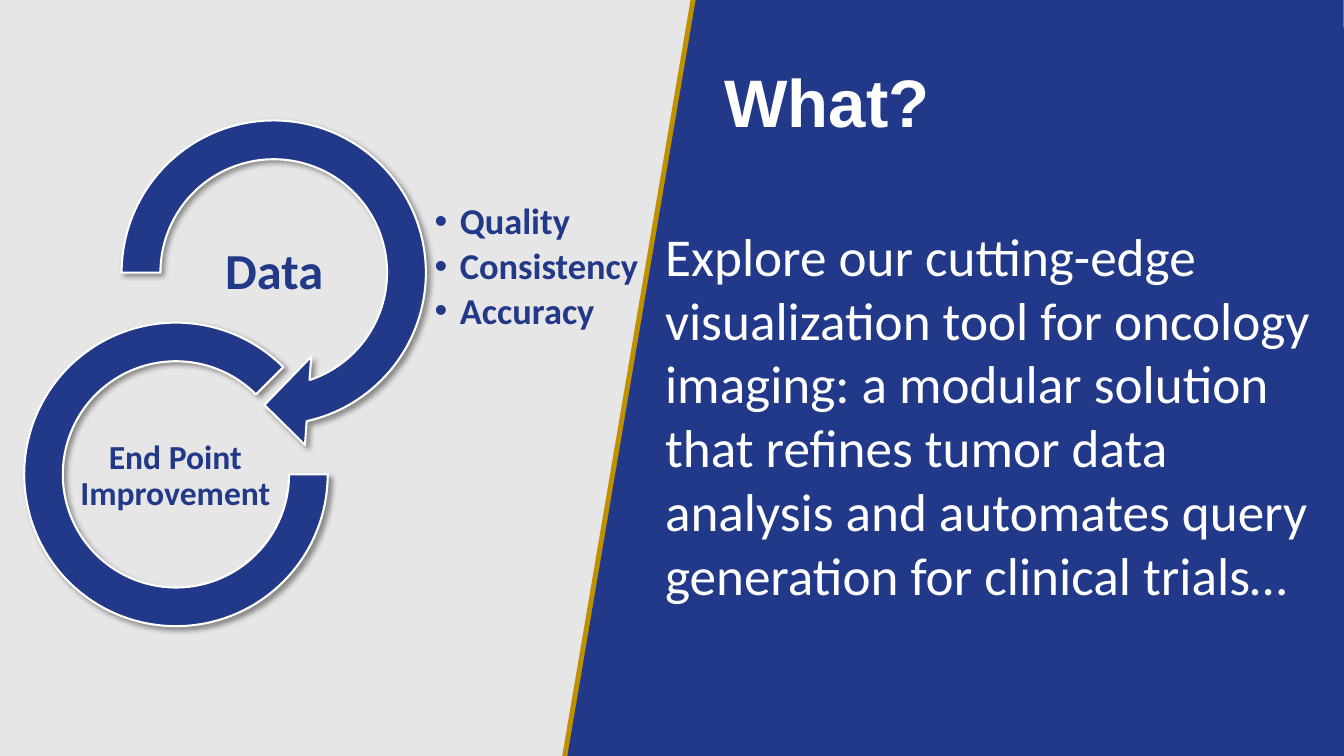
from lxml import etree
from pptx import Presentation
from pptx import util as u
from pptx.dml.color import RGBColor
from pptx.enum import shapes, text
from pptx.oxml import ns

BLUE, GOLD, WHITE, GREY = "223888", "BF9000", "FFFFFF", "E7E6E6"
LEFT, CENTER = text.PP_ALIGN.LEFT, text.PP_ALIGN.CENTER
TOP, MIDDLE = text.MSO_ANCHOR.TOP, text.MSO_ANCHOR.MIDDLE
FIXED, GROW = text.MSO_AUTO_SIZE.NONE, text.MSO_AUTO_SIZE.SHAPE_TO_FIT_TEXT


def rgb(value):
    return RGBColor.from_string(value)


def apply(target, formats):
    for name, value in formats.items():
        setattr(target, name, value)


def paint(target, color):
    target.fill.solid()
    target.fill.fore_color.rgb = rgb(color)


def add_shadow(effects):
    shadow = etree.SubElement(effects, ns.qn("a:outerShdw"), blurRad="50800",
                              dist="38100", dir="2700000", algn="tl", rotWithShape="0")
    color = etree.SubElement(shadow, ns.qn("a:srgbClr"), val="000000")
    etree.SubElement(color, ns.qn("a:alpha"), val="40000")


def set_bullet(p, bullet):
    pPr = p._p.get_or_add_pPr()
    indent = u.Cm(0.64) if bullet else 0
    pPr.set("marL", str(indent))
    pPr.set("indent", str(-indent))
    if bullet:
        etree.SubElement(pPr, ns.qn("a:buChar"), char=bullet)
    else:
        etree.SubElement(pPr, ns.qn("a:buNone"))


def write(sp, box, lines, font, color, align=LEFT, anchor=TOP, size=FIXED,
          inset=(0.25, 0.13), spacing=1.0, after=0, bullet=None):
    apply(sp, dict(zip(("left", "top", "width", "height"), map(u.Cm, box))))
    tf = sp.text_frame
    side, end = map(u.Cm, inset)
    apply(tf, {"word_wrap": True, "auto_size": size, "vertical_anchor": anchor,
               "margin_left": side, "margin_right": side,
               "margin_top": end, "margin_bottom": end})
    for i, line in enumerate(lines):
        p = tf.paragraphs[0] if i == 0 else tf.add_paragraph()
        apply(p, {"alignment": align, "line_spacing": spacing,
                  "space_before": u.Pt(0), "space_after": u.Pt(after)})
        set_bullet(p, bullet)
        r = p.add_run()
        r.text = line
        apply(r.font, font)
        r.font.color.rgb = rgb(color)


def add_panel(s, x, y, w, h, color):
    corners = [(x + 3.25, y), (x + w - 0.13, y + 0.1), (x + w, y + h), (x, y + h - 0.1)]
    points = [(u.Cm(px), u.Cm(py)) for px, py in corners]
    builder = s.shapes.build_freeform(*points[0])
    builder.add_line_segments(points[1:], close=True)
    sp = builder.convert_to_shape()
    sp.shadow.inherit = False
    paint(sp, color)
    sp.line.fill.background()


def add_ring(s, kind, x, y, size, adjustments):
    sp = s.shapes.add_shape(kind, *map(u.Cm, (x, y, size, size)))
    for i, value in enumerate(adjustments):
        sp.adjustments[i] = value
    paint(sp, BLUE)
    sp.line.color.rgb = rgb(WHITE)
    sp.line.width = u.Pt(1.5)
    sp.shadow.inherit = False
    add_shadow(sp._element.spPr.find(ns.qn("a:effectLst")))


def add_label(s, box, line, size):
    sp = s.shapes.add_textbox(0, 0, 0, 0)
    write(sp, box, [line], {"name": "Calibri", "size": u.Pt(size), "bold": True}, BLUE,
          align=CENTER, anchor=MIDDLE, inset=(0.06, 0.06), spacing=0.9)


def add_cycle(s, x, y, points):
    add_ring(s, shapes.MSO_SHAPE.CIRCULAR_ARROW, x + 1.83, y, 8.92,
             (0.1098, 11.42322, 45, 108, 0.125))
    write(points, (x + 10.29, y + 2.57, 5.4, 3.53), ["Quality", "Consistency", "Accuracy"],
          {"name": "Calibri", "size": u.Pt(26), "bold": True}, BLUE, anchor=MIDDLE,
          inset=(0.05, 0.05), spacing=0.9, after=3.9, bullet="•")
    add_label(s, (x + 3.81, y + 3.23, 4.98, 2.49), "Data", 36)
    add_ring(s, shapes.MSO_SHAPE.BLOCK_ARC, x, y + 5.72, 7.65, (0, 189, 0.1274))
    add_label(s, (x + 0.66, y + 8.11, 6.3, 2.97), "End Point Improvement", 24)


def add_message(s, x, y, title, body):
    for sp in (title, body):
        s.shapes.element.append(sp.element)
    write(title, (x + 1.5, y, 6.38, 2.31), ["What?"],
          {"name": "Arial", "size": u.Pt(48), "bold": True}, WHITE, size=GROW)
    rPr = title.text_frame.paragraphs[0].runs[0].font._element
    effects = etree.Element(ns.qn("a:effectLst"))
    rPr.find(ns.qn("a:solidFill")).addnext(effects)
    add_shadow(effects)
    write(body, (x, y + 4.09, 16.94, 10.01),
          ["Explore our cutting-edge visualization tool for oncology imaging: "
           "a modular solution that refines tumor data analysis and automates "
           "query generation for clinical trials…"],
          {"name": "Calibri", "size": u.Pt(38), "bold": False}, WHITE, size=GROW)


def main():
    prs = Presentation()
    apply(prs, {"slide_width": u.Cm(33.87), "slide_height": u.Cm(19.05)})
    s = prs.slides.add_slide(prs.slide_layouts[3])
    paint(s.background, GREY)
    title, points, body = s.placeholders
    for x, color in ((14.17, GOLD), (14.3, BLUE)):
        add_panel(s, x, -0.1, 19.69, 19.25, color)
    add_cycle(s, 0.61, 2.41, points)
    add_message(s, 16.51, 1.4, title, body)
    prs.save("out.pptx")


if __name__ == "__main__":
    main()
